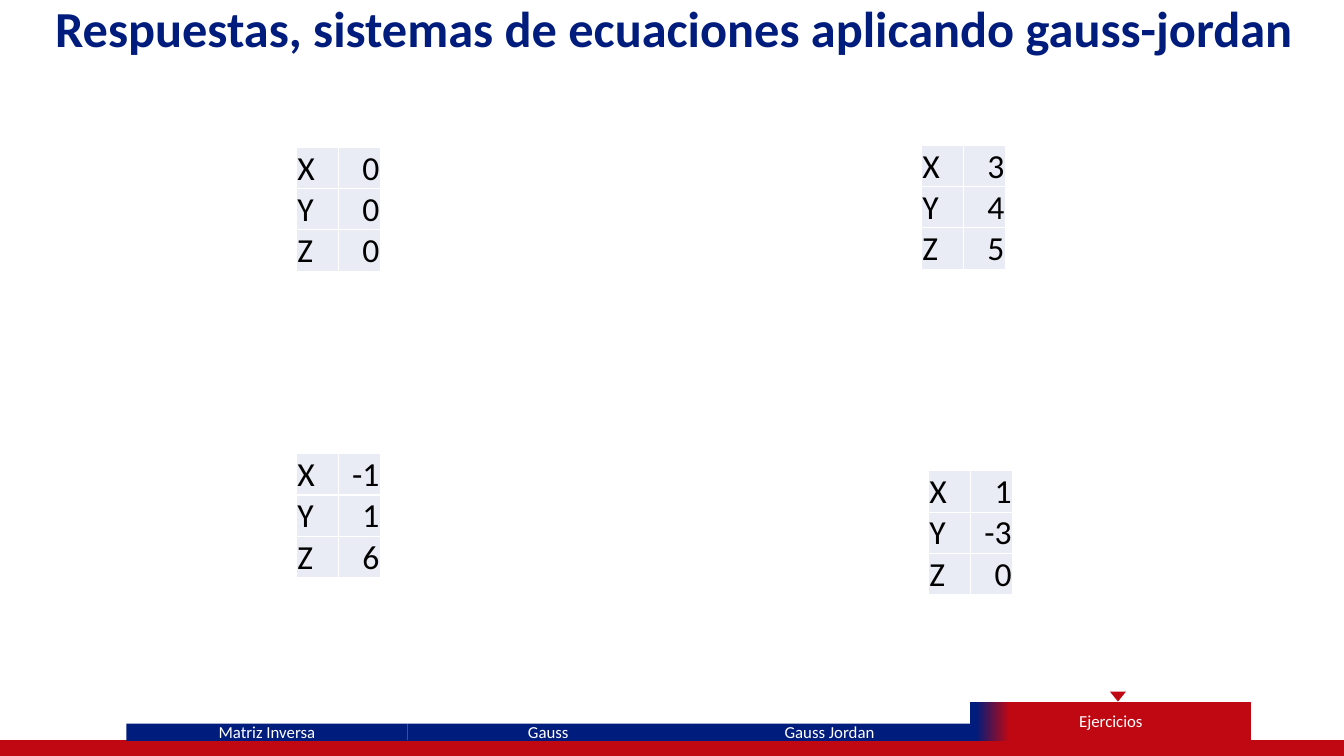
import pptx
import pptx.util
import pptx.dml.color
import pptx.enum.shapes
import pptx.enum.text
import pptx.oxml
import pptx.oxml.ns

COLORS = {"navy": "001C7D", "red": "C00812", "outline": "36147C",
          "cell": "E9EBF5", "white": "FFFFFF", "black": "000000"}
FONT = "Calibri"
Pt, Inches = pptx.util.Pt, pptx.util.Inches
SHAPE = pptx.enum.shapes.MSO_SHAPE
ALIGN = pptx.enum.text.PP_ALIGN
ANCHOR = pptx.enum.text.MSO_ANCHOR


def rgb(name):
    return pptx.dml.color.RGBColor.from_string(COLORS[name])


def line_xml(tag, color, width):
    return pptx.oxml.parse_xml(
        f'<a:{tag} {pptx.oxml.ns.nsdecls("a")} w="{Pt(width)}"><a:solidFill>'
        f'<a:srgbClr val="{COLORS[color]}"/></a:solidFill></a:{tag}>')


class Deck:
    """Places elements on the current slide, in percent of its size."""

    def __init__(self):
        self.prs = pptx.Presentation()
        self.prs.slide_width, self.prs.slide_height = Inches(13.333), Inches(7.5)
        self.s = self.prs.slides.add_slide(self.prs.slide_layouts[5])

    def x(self, share):
        return int(self.prs.slide_width * share / 100)

    def y(self, share):
        return int(self.prs.slide_height * share / 100)

    def box(self, left, top, width, height):
        return self.x(left), self.y(top), self.x(width), self.y(height)

    def add_text(self, tf, text, size, color, align, bold=False):
        p = tf.paragraphs[0]
        p.alignment = align
        r = p.add_run()
        r.text = text
        r.font.name, r.font.size, r.font.bold = FONT, Pt(size), bold
        r.font.color.rgb = rgb(color)
        return r

    def title(self, text, *area):
        sp = self.s.shapes.title
        sp.left, sp.top, sp.width, sp.height = self.box(*area)
        tf = sp.text_frame
        tf.word_wrap = True
        tf.auto_size = pptx.enum.text.MSO_AUTO_SIZE.SHAPE_TO_FIT_TEXT
        tf.vertical_anchor = ANCHOR.TOP
        tf.margin_left = tf.margin_right = 0
        r = self.add_text(tf, text, 36, "navy", ALIGN.CENTER, bold=True)
        r._r.get_or_add_rPr().insert(0, line_xml("ln", "outline", 0.75))

    def shape(self, kind, color, *area):
        sp = self.s.shapes.add_shape(kind, *self.box(*area))
        sp.shadow.inherit = False
        sp.fill.solid()
        sp.fill.fore_color.rgb = rgb(color)
        sp.line.fill.background()
        return sp

    def tab(self, text, *area, active=False):
        sp = self.shape(SHAPE.RECTANGLE, "navy", *area)
        if active:
            sp.fill.gradient()
            sp.fill.gradient_angle = 0
            stops = zip(sp.fill.gradient_stops, (("navy", 0.02), ("red", 0.14)))
            for stop, (color, position) in stops:
                stop.color.rgb, stop.position = rgb(color), position
        tf = sp.text_frame
        tf.margin_top = tf.margin_bottom = 0
        tf.vertical_anchor = ANCHOR.MIDDLE
        self.add_text(tf, text, 12, "white", ALIGN.CENTER)

    def solution(self, values, left, top, col=3.13, row=5.47):
        area = self.box(left, top, 2 * col, len(values) * row)
        table = self.s.shapes.add_table(len(values), 2, *area).table
        table.first_row = table.horz_banding = False
        for i, pair in enumerate(zip("XYZ", values)):
            for j, (text, align) in enumerate(zip(pair, (ALIGN.LEFT, ALIGN.RIGHT))):
                cell = table.cell(i, j)
                cell.margin_left = cell.margin_right = cell.margin_top = Inches(0.01)
                cell.margin_bottom = 0
                cell.vertical_anchor = ANCHOR.BOTTOM
                for side in "LRTB":
                    cell._tc.get_or_add_tcPr().append(line_xml("ln" + side, "white", 1))
                cell.fill.solid()
                cell.fill.fore_color.rgb = rgb("cell")
                self.add_text(cell.text_frame, str(text), 24, "black", align)


def main():
    deck = Deck()

    # Navigation bar: the last tab is the active one
    base = deck.shape(SHAPE.FLOWCHART_PROCESS, "red", 0, 98, 100, 2)
    base.line.color.rgb, base.line.width = rgb("red"), Pt(1)
    left, width = 9.4, 20.93
    tabs = ["Matriz Inversa", "Gauss", "Gauss Jordan", "Ejercicios"]
    for i, name in enumerate(tabs):
        active = i == len(tabs) - 1
        top, height = (92.8, 5.2) if active else (95.73, 2.27)
        deck.tab(name, left + i * width, top, width, height, active=active)
    marker = deck.shape(SHAPE.ISOSCELES_TRIANGLE, "red", 82.58, 91.47, 1.2, 1.33)
    marker.rotation = 180

    # Title
    deck.title("Respuestas, sistemas de ecuaciones aplicando gauss-jordan",
               2.85, -1.07, 94.65, 9.47)

    # Solutions of the four systems
    deck.solution((0, 0, 0), 22.05, 19.47)
    deck.solution((3, 4, 5), 68.55, 19.2)
    deck.solution((-1, 1, 6), 22.05, 60)
    deck.solution((1, -3, 0), 69.08, 62.27)

    deck.prs.save("out.pptx")


if __name__ == "__main__":
    main()
